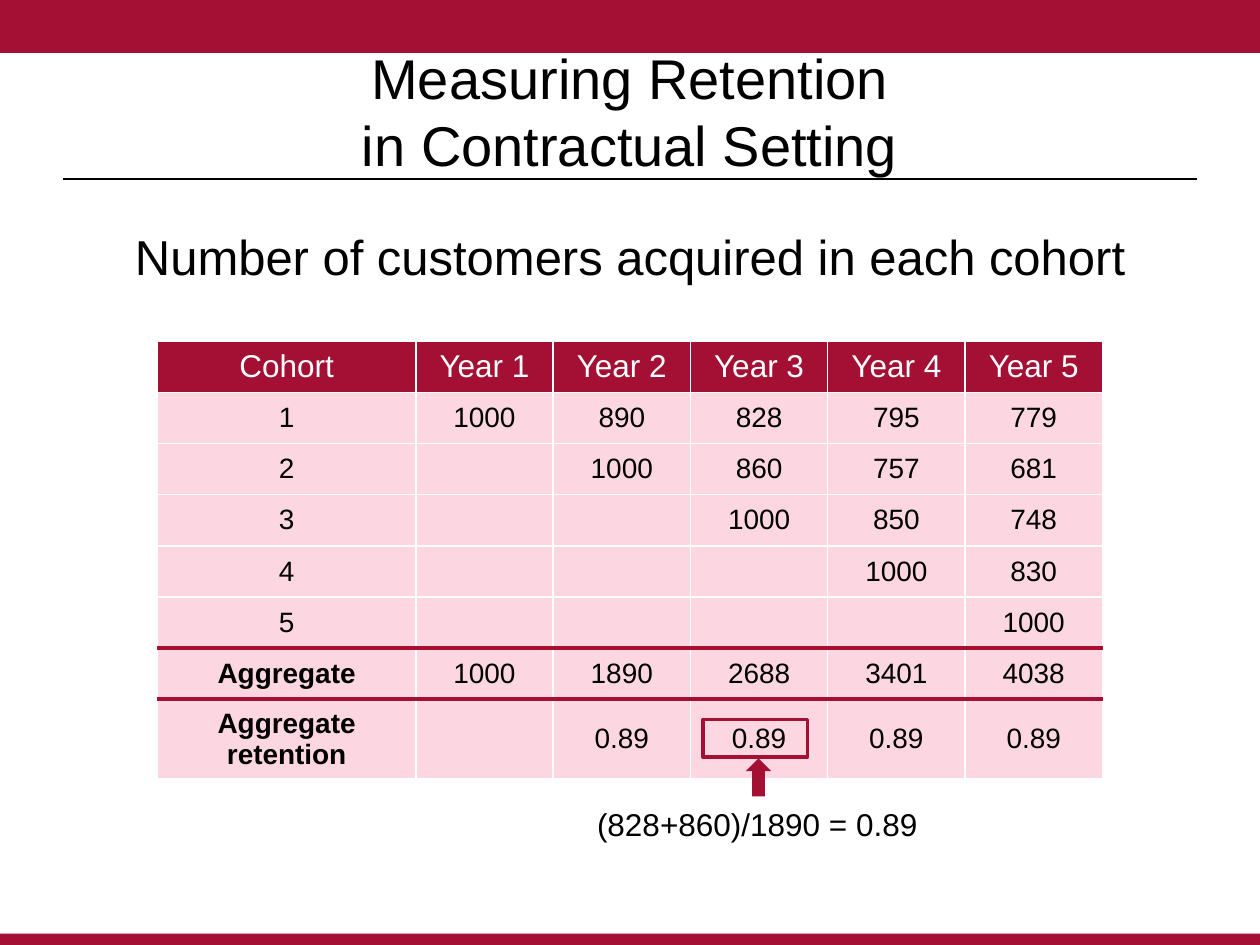
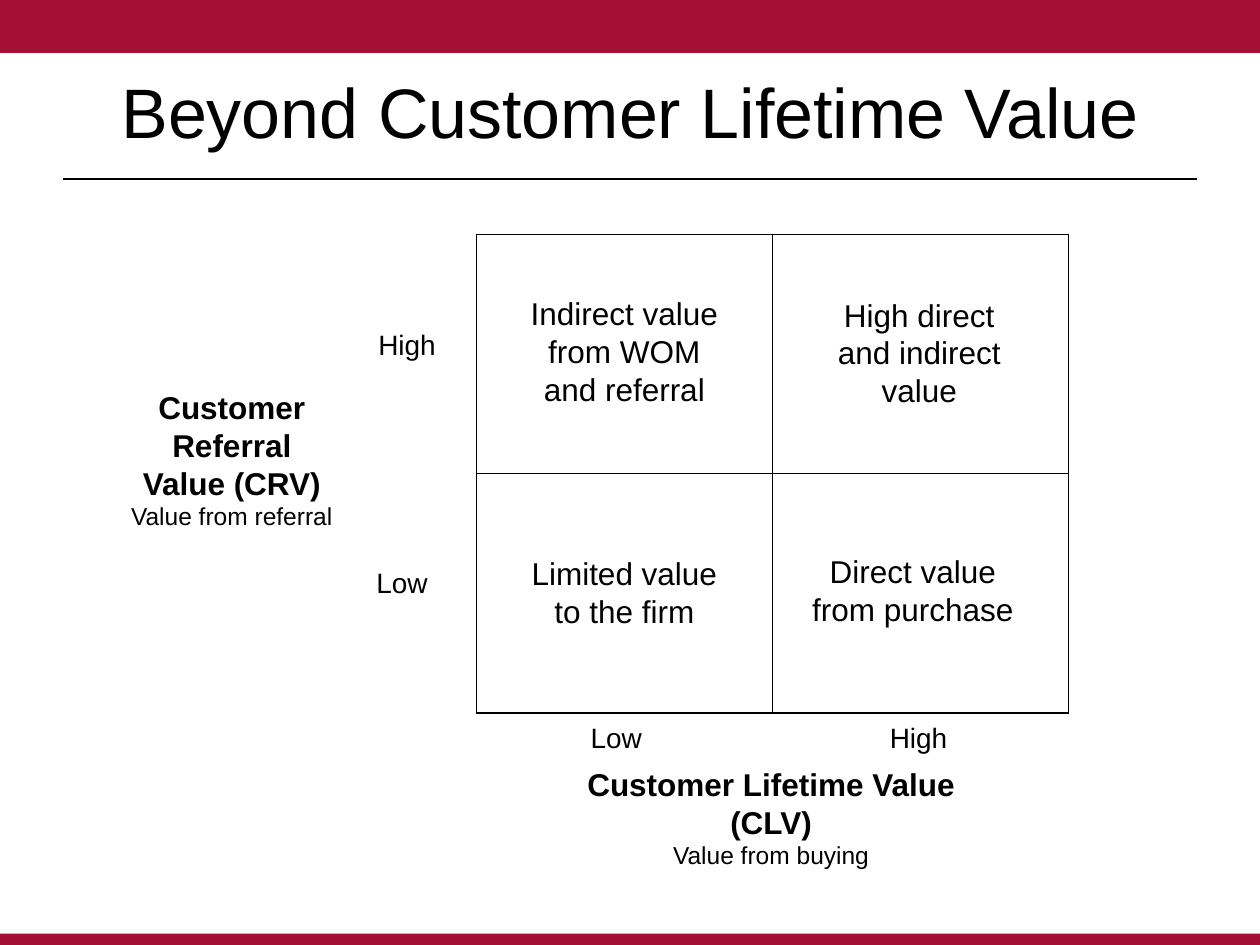
from lxml.etree import SubElement
from pptx import Presentation
from pptx.dml.color import RGBColor
from pptx.enum.shapes import MSO_CONNECTOR, MSO_SHAPE
from pptx.enum.text import MSO_ANCHOR, MSO_AUTO_SIZE, PP_ALIGN
from pptx.oxml.ns import qn
from pptx.util import Emu, Pt

EMU_PER_PX = 9144
FONT = "Arial"
CRIMSON = RGBColor(0xA4, 0x10, 0x34)
PINK = RGBColor(0xFC, 0xD7, 0xE2)
BLACK = RGBColor(0x00, 0x00, 0x00)
WHITE = RGBColor(0xFF, 0xFF, 0xFF)

COHORT_ROWS = [
    ["Cohort", "Year 1", "Year 2", "Year 3", "Year 4", "Year 5"],
    ["1", "1000", "890", "828", "795", "779"],
    ["2", "", "1000", "860", "757", "681"],
    ["3", "", "", "1000", "850", "748"],
    ["4", "", "", "", "1000", "830"],
    ["5", "", "", "", "", "1000"],
    ["Aggregate", "1000", "1890", "2688", "3401", "4038"],
    ["Aggregate retention", "", "0.89", "0.89", "0.89", "0.89"],
]
AGGREGATE_ROW = 6


def px(*lengths):
    """Turn px lengths into a list of EMU lengths."""
    return [Emu(length * EMU_PER_PX) for length in lengths]


def write_para(para, text, size, color=BLACK, bold=False, align=PP_ALIGN.CENTER):
    """Write text into a paragraph, one run for each line."""
    para.alignment = align
    for index, line in enumerate(text.split("\n")):
        if index:
            para.add_line_break()
        span = para.add_run()
        span.text = line
        span.font.name = FONT
        span.font.size = Pt(size)
        span.font.bold = bold
        span.font.color.rgb = color


def add_text(shapes, place, lines, size=18, wrap=True, anchor=MSO_ANCHOR.TOP,
             bold=False, align=PP_ALIGN.CENTER):
    """Add a text box with one paragraph for each line and return its frame."""
    frame = shapes.add_textbox(*px(*place)).text_frame
    frame.word_wrap = wrap
    frame.vertical_anchor = anchor
    for index, line in enumerate(lines):
        para = frame.add_paragraph() if index else frame.paragraphs[0]
        write_para(para, line, size, bold=bold, align=align)
    return frame


def add_axis_title(slide, place, lines, caption):
    """Add a bold axis title with a small caption below it."""
    frame = add_text(slide.shapes, place, lines, bold=True)
    write_para(frame.add_paragraph(), caption, 14)


def add_solid(shapes, kind, place):
    """Add a crimson shape without an outline."""
    shape = shapes.add_shape(kind, *px(*place))
    shape.shadow.inherit = False
    shape.fill.solid()
    shape.fill.fore_color.rgb = CRIMSON
    shape.line.fill.background()


def add_outline(shapes, place):
    """Add an empty rectangle with a crimson outline."""
    box = shapes.add_shape(MSO_SHAPE.RECTANGLE, *px(*place))
    box.shadow.inherit = False
    box.fill.background()
    box.line.color.rgb = CRIMSON
    box.line.width = Pt(2)


def add_rule(shapes, left, right, top):
    """Add the thin horizontal line under the title."""
    rule = shapes.add_connector(MSO_CONNECTOR.STRAIGHT, *px(left, top, right, top))
    rule.line.color.rgb = BLACK
    rule.line.width = Pt(1.25)
    SubElement(rule.element.spPr, qn("a:effectLst"))


def add_page(deck, title, size):
    """Add a slide with the shared bands, rule and title."""
    page = deck.slides.add_slide(deck.slide_layouts[5])
    for top, height in ((0, 42), (741, 9)):
        add_solid(page.shapes, MSO_SHAPE.RECTANGLE, (0, top, 1000, height))
    add_rule(page.shapes, 50, 950, 142)
    heading = page.shapes.title
    heading.left, heading.top, heading.width, heading.height = px(50, 25, 900, 125)
    frame = heading.text_frame
    frame.auto_size = MSO_AUTO_SIZE.NONE
    frame.word_wrap = True
    frame.vertical_anchor = MSO_ANCHOR.MIDDLE
    write_para(frame.paragraphs[0], title, size)
    return page


def set_borders(cell, **edges):
    """Draw the L, R, T and B edges of a cell, each a (color, points) pair."""
    properties = cell._tc.get_or_add_tcPr()
    for side in "LRTB":
        color, points = edges[side]
        line = SubElement(properties, qn(f"a:ln{side}"), w=str(Pt(points)))
        fill = SubElement(line, qn("a:solidFill"))
        SubElement(fill, qn("a:srgbClr"), val=str(color))


def add_grid(page, left, top, widths, heights):
    """Add a table without style options and return it."""
    place = (*px(left, top), sum(widths), sum(heights))
    table = page.shapes.add_table(len(heights), len(widths), *place).table
    table.first_row = table.horz_banding = False
    for column, width in zip(table.columns, widths):
        column.width = width
    for row, height in zip(table.rows, heights):
        row.height = height
    return table


def add_cohort_table(page):
    """Add the cohort counts, with crimson lines around the aggregate row."""
    label_width, year_width, last_height = px(205, 109, 59)
    row_height = px(284)[0] // 7
    table = add_grid(page, 125, 271, [label_width] + [year_width] * 5,
                     [row_height] * 7 + [last_height])
    thin, thick = (WHITE, 1), (CRIMSON, 2.25)
    marked_edges = (AGGREGATE_ROW, AGGREGATE_ROW + 1)
    for r, values in enumerate(COHORT_ROWS):
        for c, value in enumerate(values):
            cell = table.cell(r, c)
            set_borders(cell, L=thin, R=thin,
                        T=thick if r in marked_edges else thin,
                        B=thick if r + 1 in marked_edges else thin)
            cell.fill.solid()
            cell.fill.fore_color.rgb = PINK if r else CRIMSON
            cell.vertical_anchor = MSO_ANCHOR.MIDDLE
            if value:
                write_para(cell.text_frame.paragraphs[0], value, 16 if r else 18,
                           BLACK if r else WHITE, c == 0 and r >= AGGREGATE_ROW)


def add_value_matrix(page):
    """Add the empty two by two matrix."""
    table = add_grid(page, 378, 186, px(235, 235), px(190, 190))
    edge = (BLACK, 1)
    for cell in table.iter_cells():
        set_borders(cell, L=edge, R=edge, T=edge, B=edge)
        cell.fill.background()


def build_retention(deck):
    """Build the slide on measuring retention."""
    page = add_page(deck, "Measuring Retention\nin Contractual Setting", 32)
    subtitle = add_text(page.shapes, (50, 175, 900, 64),
                        ["Number of customers acquired in each cohort"], 28)
    subtitle.paragraphs[0].space_before = Pt(6)
    add_cohort_table(page)
    callout = page.shapes.add_group_shape().shapes
    add_solid(callout, MSO_SHAPE.UP_ARROW, (592, 602, 20, 30))
    add_text(callout, (464, 634, 277, 40), ["(828+860)/1890 = 0.89"],
             wrap=False, align=PP_ALIGN.LEFT)
    add_outline(page.shapes, (558, 571, 83, 30))


def build_beyond_value(deck):
    """Build the slide on customer value and referral value."""
    page = add_page(deck, "Beyond Customer Lifetime Value", 40)
    add_value_matrix(page)
    add_axis_title(page, (419, 602, 386, 101),
                   ["Customer Lifetime Value", "(CLV)"], "Value from buying")
    add_axis_title(page, (89, 303, 190, 123),
                   ["Customer", "Referral", "Value (CRV)"], "Value from referral")
    for left, top, level in ((277, 255, "High"), (273, 444, "Low"),
                             (443, 567, "Low"), (683, 567, "High")):
        add_text(page.shapes, (left, top, 92, 37), [level], 16)
    quadrants = (
        ((640, 234, 179, 91), ["High direct and indirect value"], True),
        ((626, 417, 197, 102), ["Direct value\nfrom purchase"], False),
        ((383, 226, 225, 105), ["Indirect value", "from WOM", "and referral"], False),
        ((383, 417, 225, 105), ["Limited value", "to the firm"], False),
    )
    for place, lines, wrap in quadrants:
        add_text(page.shapes, place, lines, wrap=wrap, anchor=MSO_ANCHOR.MIDDLE)


def main():
    """Build the deck and save it."""
    deck = Presentation()
    deck.slide_width, deck.slide_height = px(1000, 750)
    build_retention(deck)
    build_beyond_value(deck)
    deck.save("out.pptx")


if __name__ == "__main__":
    main()
